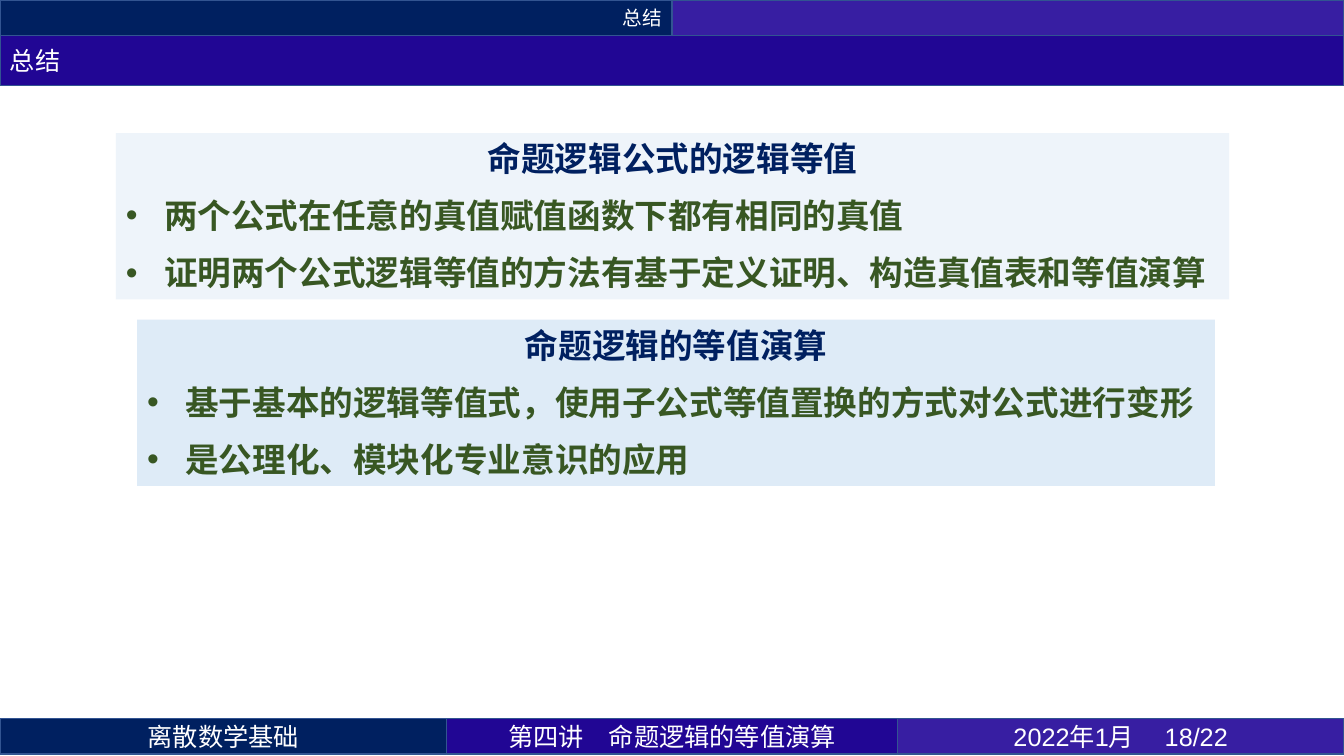
from itertools import accumulate

from lxml import etree
from pptx import Presentation, util as u
from pptx.dml.color import RGBColor
from pptx.enum import shapes, text
from pptx.oxml.ns import qn

NAVY = RGBColor(0x00, 0x20, 0x60)
INDIGO = RGBColor(0x21, 0x06, 0x94)
VIOLET = RGBColor(0x37, 0x1E, 0xA2)
EDGE = RGBColor(0x32, 0x54, 0x91)
PALE = RGBColor(0xDE, 0xEB, 0xF7)
GREEN = RGBColor(0x38, 0x57, 0x23)
WHITE = RGBColor(0xFF, 0xFF, 0xFF)

CJK = "Noto Sans CJK SC"
LATIN = "Arial"
WIDTH, HEIGHT = 13.33, 7.5
STRIP = 0.35
LEFT, CENTER, RIGHT = text.PP_ALIGN.LEFT, text.PP_ALIGN.CENTER, text.PP_ALIGN.RIGHT


def add_box(s, box, fill, edge=None):
    """Plain rectangle; box is left, top, width, height in inches."""
    sp = s.shapes.add_shape(shapes.MSO_SHAPE.RECTANGLE, *map(u.Inches, box))
    sp.shadow.inherit = False
    sp.fill.solid()
    sp.fill.fore_color.rgb = fill
    if edge is None:
        sp.line.fill.background()
    else:
        sp.line.color.rgb = edge
        sp.line.width = u.Pt(1)
    sp.text_frame.word_wrap = True
    return sp


def write(p, words, size, color, align, font=CJK, bold=False):
    p.alignment = align
    r = p.add_run()
    r.text = words
    p.font.size = r.font.size = u.Pt(size)
    p.font.name = r.font.name = font
    p.font.bold = r.font.bold = bold
    p.font.color.rgb = r.font.color.rgb = color
    # East Asian glyphs take their own typeface
    r.font._element.find(qn("a:latin")).addnext(
        etree.Element(qn("a:ea"), typeface=CJK))


def add_bar(s, box, cells):
    """Row of coloured cells: share of width, fill, words, size, align, font."""
    left, top, width, height = box
    starts = accumulate((cell[0] for cell in cells), initial=0)
    for start, (share, fill, words, size, align, font) in zip(starts, cells):
        sp = add_box(s, (left + start * width, top, share * width, height), fill, EDGE)
        tf = sp.text_frame
        tf.vertical_anchor = text.MSO_ANCHOR.MIDDLE
        if words:
            write(tf.paragraphs[0], words, size, WHITE, align, font)


def add_bullet(p, indent):
    pPr = p._p.get_or_add_pPr()
    pPr.set("marL", str(u.Inches(indent)))
    pPr.set("indent", str(-u.Inches(indent)))
    bullet_font = etree.Element(qn("a:buFont"), typeface=LATIN)
    bullet = etree.Element(qn("a:buChar"), char="•")
    # Bullets come before the default run properties
    pPr.find(qn("a:defRPr")).addprevious(bullet_font)
    bullet_font.addnext(bullet)


def add_panel(s, box, heading, points, opacity=100):
    """Tinted panel with a centred heading and bulleted points."""
    sp = add_box(s, box, PALE)
    if opacity < 100:
        color = sp.fill._xPr.find(qn("a:solidFill"))[0]
        etree.SubElement(color, qn("a:alpha"), val=str(opacity * 1000))
    tf = sp.text_frame
    tf.vertical_anchor = text.MSO_ANCHOR.TOP
    tf.auto_size = text.MSO_AUTO_SIZE.SHAPE_TO_FIT_TEXT
    for i, words in enumerate([heading, *points]):
        p = tf.add_paragraph() if i else tf.paragraphs[0]
        p.space_before = p.space_after = u.Pt(6)
        write(p, words, 24, GREEN if i else NAVY, LEFT if i else CENTER, bold=True)
        if i:
            add_bullet(p, 0.38)


def main():
    prs = Presentation()
    prs.slide_width, prs.slide_height = u.Inches(WIDTH), u.Inches(HEIGHT)
    s = prs.slides.add_slide(prs.slide_layouts[6])

    # Section strip and title bar
    add_bar(s, (0, 0, WIDTH, STRIP), [
        (0.5, NAVY, "总结", 14, RIGHT, CJK),
        (0.5, VIOLET, "", 14, LEFT, CJK),
    ])
    add_bar(s, (0, STRIP, WIDTH, 0.5), [(1, INDIGO, "总结", 18, LEFT, CJK)])

    # Footer
    middle = 4.47 / WIDTH
    side = (1 - middle) / 2
    add_bar(s, (0, 7.13, WIDTH, STRIP), [
        (side, NAVY, "离散数学基础", 18, CENTER, CJK),
        (middle, INDIGO, "第四讲\t命题逻辑的等值演算", 18, CENTER, CJK),
        (side, VIOLET, "2022年1月 \t18/22", 18, CENTER, LATIN),
    ])

    # Summary panels
    add_panel(s, (1.15, 1.32, 11.04, 1.65), "命题逻辑公式的逻辑等值", [
        "两个公式在任意的真值赋值函数下都有相同的真值",
        "证明两个公式逻辑等值的方法有基于定义证明、构造真值表和等值演算",
    ], opacity=50)
    add_panel(s, (1.36, 3.17, 10.69, 1.65), "命题逻辑的等值演算", [
        "基于基本的逻辑等值式，使用子公式等值置换的方式对公式进行变形",
        "是公理化、模块化专业意识的应用",
    ])

    prs.save("out.pptx")


if __name__ == "__main__":
    main()
